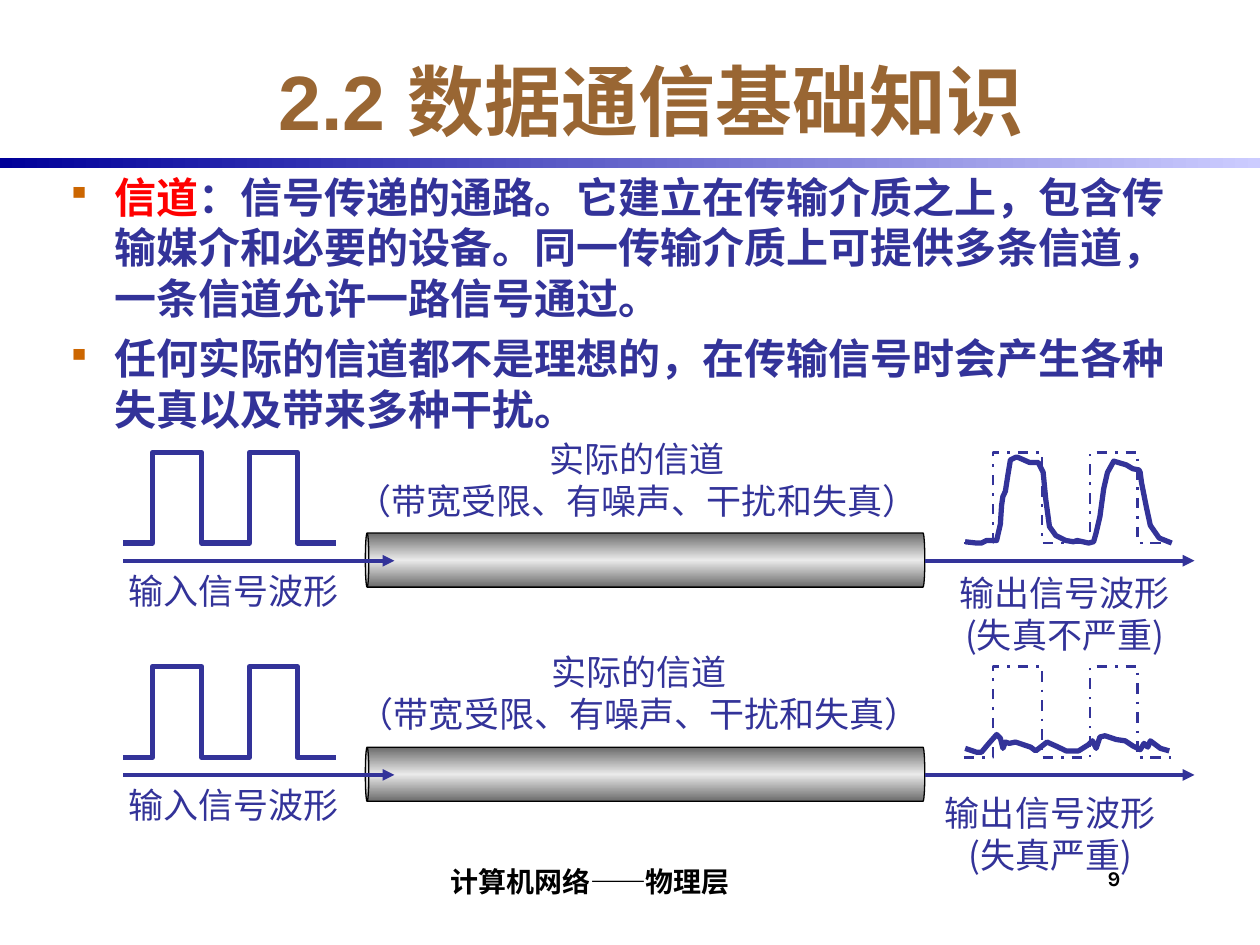
from lxml import etree
from pptx import Presentation, util as u
from pptx.dml.color import RGBColor
from pptx.enum import dml, shapes, text
from pptx.oxml import ns

Inches, Pt = u.Inches, u.Pt

BLUE = RGBColor(0x33, 0x33, 0x99)
BROWN = RGBColor(0x99, 0x66, 0x33)
RED = RGBColor(0xFF, 0x00, 0x00)
BLACK = RGBColor(0x00, 0x00, 0x00)
NAVY = RGBColor(0x00, 0x00, 0x99)
LAVENDER = RGBColor(0xCC, 0xCC, 0xFF)
ORANGE = RGBColor(0xCC, 0x66, 0x00)
STEEL = RGBColor(0x6B, 0x6B, 0x6B)
SILVER = RGBColor(0xEA, 0xEA, 0xEA)
CJK, SERIF, SANS, FOOTER = "Noto Sans CJK SC", "Times New Roman", "Arial", "Karla"
CENTER = text.PP_ALIGN.CENTER

# Waveforms, in inches from the left and top of the wave box
SQUARE_WAVE = [(0, .72), (.23, .72), (.23, 0), (.62, 0), (.62, .72),
               (1, .72), (1, 0), (1.38, 0), (1.38, .72), (1.69, .72)]
MILD_WAVE = [
    (.01, .71), (.1, .72), (.14, .72), (.18, .7), (.26, .7), (.29, .57), (.3, .42),
    (.31, .35), (.33, .31), (.35, .18), (.37, .06), (.41, .04), (.43, .04), (.52, .08),
    (.59, .08), (.63, .16), (.65, .37), (.68, .59), (.73, .66), (.81, .7), (.87, .71),
    (.9, .7), (.99, .72), (1.03, .71), (1.05, .64), (1.08, .51), (1.11, .29),
    (1.14, .16), (1.19, .07), (1.29, .1), (1.34, .13), (1.39, .14), (1.4, .16),
    (1.41, .24), (1.45, .44), (1.48, .58), (1.55, .68), (1.65, .72)]
SEVERE_WAVE = [
    (.01, .65), (.1, .68), (.14, .68), (.19, .62), (.26, .54), (.29, .57), (.31, .65),
    (.33, .6), (.36, .61), (.41, .6), (.53, .64), (.57, .67), (.66, .6), (.75, .64),
    (.81, .67), (.91, .67), (.99, .62), (1.02, .59), (1.05, .65), (1.08, .56),
    (1.12, .55), (1.21, .58), (1.28, .59), (1.34, .63), (1.4, .66), (1.43, .61),
    (1.46, .64), (1.48, .59), (1.56, .65), (1.63, .67)]


def set_gradient(shape, colors):
    """Fill left to right with evenly spaced colours."""
    shape.fill.gradient()
    shape.fill.gradient_angle = 0
    stops = shape.fill._fill._gradFill.find(ns.qn("a:gsLst"))
    for stop in list(stops):
        stops.remove(stop)
    for index, color in enumerate(colors):
        position = 100000 * index // (len(colors) - 1)
        stop = etree.SubElement(stops, ns.qn("a:gs"), pos=str(position))
        etree.SubElement(stop, ns.qn("a:srgbClr"), val=str(color))


def style_run(run, size, font, color, bold=False):
    run.font.size, run.font.name, run.font.bold = Pt(size), font, bold
    run.font.color.rgb = color
    east_asian = etree.SubElement(run.font._element, ns.qn("a:ea"))
    east_asian.set("typeface", CJK)


def add_frame(slide, box, insets=(.1, .05, .1, .05), wrap=True,
              anchor=text.MSO_ANCHOR.TOP):
    frame = slide.shapes.add_textbox(*map(Inches, box)).text_frame
    frame.word_wrap, frame.vertical_anchor = wrap, anchor
    (frame.margin_left, frame.margin_top,
     frame.margin_right, frame.margin_bottom) = map(Inches, insets)
    return frame


def write_lines(frame, content, size, font, color, bold=False, align=CENTER):
    frame.text = content
    for paragraph in frame.paragraphs:
        paragraph.alignment = align
        for run in paragraph.runs:
            style_run(run, size, font, color, bold)


def add_arrow(slide, left, right, y):
    arrow = slide.shapes.add_connector(
        shapes.MSO_CONNECTOR.STRAIGHT, Inches(left), Inches(y), Inches(right), Inches(y))
    arrow.line.color.rgb, arrow.line.width = BLUE, Pt(2.25)
    line = arrow.line._get_or_add_ln()
    etree.SubElement(line, ns.qn("a:tailEnd"), type="triangle")
    etree.SubElement(arrow._element.spPr, ns.qn("a:effectLst"))


def add_wave(slide, left, top, points, width=3, dash=None):
    placed = [(Inches(left + x), Inches(top + y)) for x, y in points]
    builder = slide.shapes.build_freeform(*placed[0])
    builder.add_line_segments(placed[1:], close=False)
    wave = builder.convert_to_shape()
    wave.shadow.inherit = False
    wave.fill.background()
    wave.line.color.rgb, wave.line.width = BLUE, Pt(width)
    if dash:
        wave.line.dash_style = dash


def add_pipe(slide, left, top, length, thickness):
    # The can stands upright and is turned about its centre
    shift = (length - thickness) / 2
    pipe = slide.shapes.add_shape(
        shapes.MSO_SHAPE.CAN, Inches(left + shift), Inches(top - shift),
        Inches(thickness), Inches(length))
    pipe.rotation = 270
    pipe.adjustments[0] = .065
    pipe.shadow.inherit = False
    set_gradient(pipe, [STEEL, SILVER, STEEL])
    pipe.line.color.rgb, pipe.line.width = BLACK, Pt(.75)


def add_header(slide):
    bar = slide.shapes.add_shape(
        shapes.MSO_SHAPE.RECTANGLE, 0, Inches(1.25), Inches(10), Inches(.08))
    bar.shadow.inherit = False
    set_gradient(bar, [NAVY, LAVENDER])
    bar.line.fill.background()
    title = add_frame(slide, (.92, .33, 8.5, .92), anchor=text.MSO_ANCHOR.MIDDLE)
    write_lines(title, "2.2 数据通信基础知识", 44, SANS, BROWN, bold=True)


def add_body(slide, box):
    bullets = [
        [("信道", SANS, RED), ("：", SANS, BLUE),
         ("信号传递的通路。它", SERIF, BLUE), ("建立在传输介质之上，", SANS, BLUE),
         ("包含传输媒介和必要的设备", SERIF, BLUE), ("。同一传输介质", SANS, BLUE),
         ("上可提供多条信道，一条信道允许一路信号通过。", CJK, BLUE)],
        [("任何实际的信道都不是理想的，在传输信号时会产生各种失真以及带来多种干扰。",
          SANS, BLUE)],
    ]
    frame = add_frame(slide, box)
    for index, parts in enumerate(bullets):
        paragraph = frame.add_paragraph() if index else frame.paragraphs[0]
        properties = paragraph._p.get_or_add_pPr()
        properties.set("marL", str(Inches(.38)))
        properties.set("indent", str(-Inches(.38)))
        color = etree.SubElement(properties, ns.qn("a:buClr"))
        etree.SubElement(color, ns.qn("a:srgbClr"), val=str(ORANGE))
        etree.SubElement(properties, ns.qn("a:buSzPct"), val="80000")
        etree.SubElement(properties, ns.qn("a:buChar"), char="▪")
        if index:
            paragraph.space_before = Pt(6)
        for content, font, run_color in parts:
            run = paragraph.add_run()
            run.text = content
            style_run(run, 24, font, run_color, bold=True)


def add_channel(slide, top, received_wave, verdict, channel_box, output_box):
    """One row: input signal, channel, output signal."""
    left, output_left, axis = .98, 7.65, top + .86
    add_pipe(slide, 2.9, axis - .22, 4.44, .43)
    # Signals and their time axes
    add_wave(slide, left, top, SQUARE_WAVE)
    add_arrow(slide, left, left + 2.15, axis)
    add_wave(slide, output_left, top, SQUARE_WAVE, 1.5, dml.MSO_LINE.DASH_DOT)
    add_arrow(slide, 7.34, 9.48, axis)
    add_wave(slide, output_left, top, received_wave)
    # Labels
    write_lines(add_frame(slide, channel_box, wrap=False),
                "实际的信道\n（带宽受限、有噪声、干扰和失真）", 20, SERIF, BLUE)
    write_lines(add_frame(slide, (.92, top + .88, 1.87, .44), wrap=False),
                "输入信号波形", 20, CJK, BLUE, align=text.PP_ALIGN.LEFT)
    write_lines(add_frame(slide, output_box),
                f"输出信号波形\n({verdict})", 20, CJK, BLUE)


def add_footer(slide):
    footer = add_frame(slide, (2.08, 6.75, 5.17, .42), (.04, 0, 0, .04),
                       anchor=text.MSO_ANCHOR.BOTTOM)
    write_lines(footer, "计算机网络——物理层", 16, FOOTER, BLACK, bold=True)
    number = add_frame(slide, (8.75, 6.83, .58, .42), (.04, .04, 0, 0))
    write_lines(number, "9", 12, FOOTER, BLACK, bold=True, align=text.PP_ALIGN.LEFT)


def main():
    presentation = Presentation()
    presentation.slide_width, presentation.slide_height = Inches(10), Inches(7.5)
    slide = presentation.slides.add_slide(presentation.slide_layouts[6])
    add_header(slide)
    add_body(slide, (.43, 1.31, 9.21, 5))
    add_channel(slide, 3.59, MILD_WAVE, "失真不严重",
                (2.73, 3.42, 4.65, .77), (7.4, 4.49, 2.1, .77))
    add_channel(slide, 5.29, SEVERE_WAVE, "失真严重",
                (2.75, 5.11, 4.65, .77), (7.32, 6.23, 2.03, .77))
    add_footer(slide)
    presentation.save("out.pptx")


if __name__ == "__main__":
    main()
